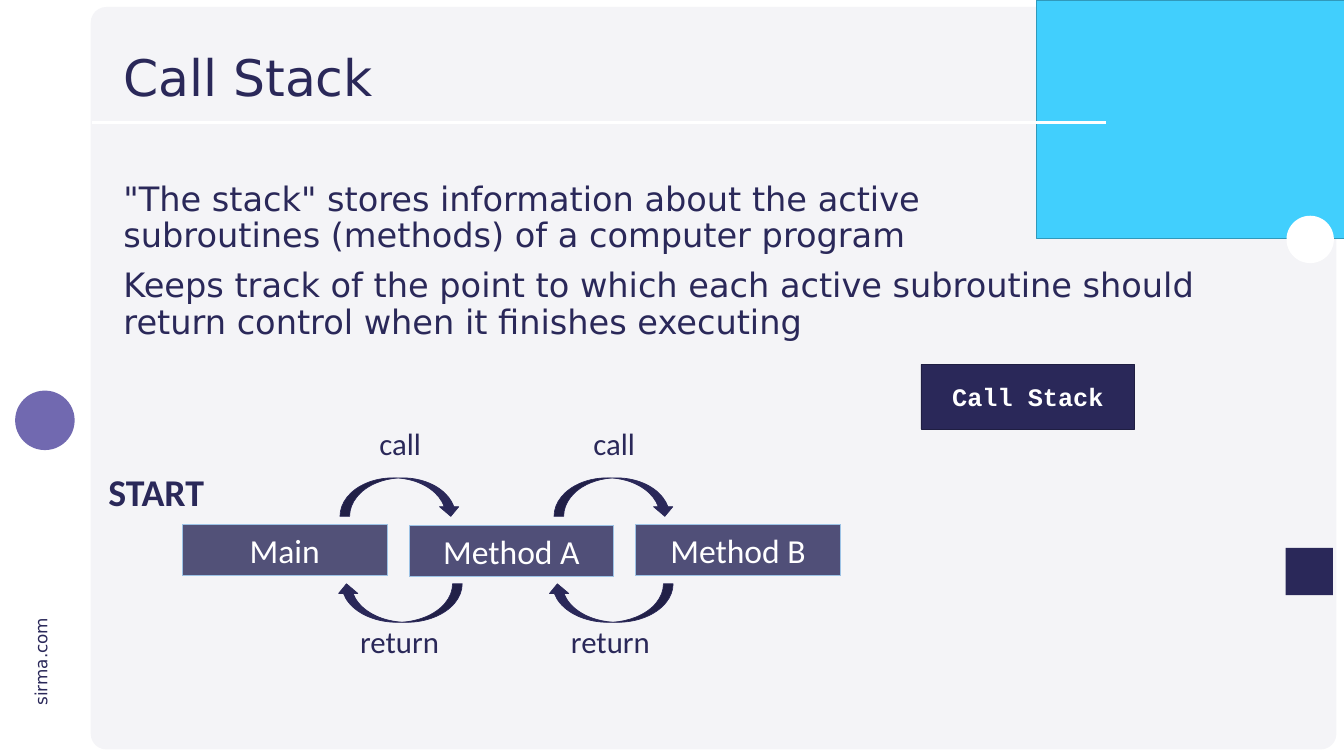
from lxml.etree import SubElement
from pptx import Presentation
from pptx.dml.color import RGBColor
from pptx.enum.shapes import MSO_CONNECTOR, MSO_SHAPE
from pptx.enum.text import MSO_ANCHOR, PP_ALIGN
from pptx.oxml.ns import qn
from pptx.util import Pt

SLIDE_W, SLIDE_H = 1919.52, 1080

NAVY = RGBColor(0x2A, 0x28, 0x59)
NAVY_EDGE = RGBColor(0x1F, 0x1E, 0x42)
PURPLE = RGBColor(0x71, 0x69, 0xB0)
SKY = RGBColor(0x41, 0xCF, 0xFD)
SKY_EDGE = RGBColor(0x30, 0x99, 0xBB)
PALE_BLUE = RGBColor(0xBD, 0xD7, 0xEE)
BOX_EDGE = RGBColor(0x9D, 0xC3, 0xE6)
PANEL = RGBColor(0xF4, 0xF4, 0xF7)
OFF_WHITE = RGBColor(0xF6, 0xF7, 0xF8)
WHITE = RGBColor(0xFF, 0xFF, 0xFF)

SANS, BODY, MONO = "DejaVu Sans", "Calibri", "Courier New"


def add_block(slide, kind, box, fill, line=None, opacity=100):
    block = slide.shapes.add_shape(kind, *map(Pt, box))
    block.shadow.inherit = False
    block.fill.solid()
    block.fill.fore_color.rgb = fill
    if opacity < 100:
        color = block.element.spPr.find(qn("a:solidFill"))[0]
        SubElement(color, qn("a:alpha"), val=str(opacity * 1000))
    if line is None:
        block.line.fill.background()
    else:
        block.line.color.rgb = line
        block.line.width = Pt(1)
    return block


def write(holder, text, size, font=BODY, color=NAVY, bold=False,
          align=PP_ALIGN.CENTER, anchor=MSO_ANCHOR.MIDDLE, wrap=True,
          spacing=None, gap=0, margins=(7.2, 3.6)):
    """Fill a shape's text frame; each line of text is a paragraph, \\v a line break."""
    frame = holder.text_frame
    frame.word_wrap = wrap
    frame.vertical_anchor = anchor
    frame.margin_left = frame.margin_right = Pt(margins[0])
    frame.margin_top = frame.margin_bottom = Pt(margins[1])
    for i, line in enumerate(text.split("\n")):
        paragraph = frame.add_paragraph() if i else frame.paragraphs[0]
        paragraph.text = line
        paragraph.alignment = align
        if spacing:
            paragraph.line_spacing = spacing
        if i and gap:
            paragraph.space_before = Pt(gap)
        for run in paragraph.runs:
            run.font.name = font
            run.font.size = Pt(size)
            run.font.bold = bold
            run.font.color.rgb = color


def add_text(slide, box, text, size, **style):
    label = slide.shapes.add_textbox(*map(Pt, box))
    write(label, text, size, **style)
    return label


def draw_backdrop(slide, box):
    """Panel, corner block, title rule and the small ornaments at the edges."""
    left, top, width, height = box
    right = left + width
    panel = add_block(slide, MSO_SHAPE.ROUNDED_RECTANGLE,
                      (left + 129.6, top + 10, 1779, height - 19.4), PANEL)
    panel.adjustments[0] = 0.021

    address = add_text(slide, (left - 13, top + 926, 142, 36), "sirma.com", 24,
                       font=SANS, align=PP_ALIGN.LEFT, anchor=MSO_ANCHOR.TOP,
                       wrap=False)
    address.rotation = 270

    add_block(slide, MSO_SHAPE.RECTANGLE, (right - 439.52, top, 439.52, 340.5),
              SKY, line=SKY_EDGE)
    rule = slide.shapes.add_connector(
        MSO_CONNECTOR.STRAIGHT, Pt(left + 132), Pt(top + 175),
        Pt(left + 1579), Pt(top + 175))
    rule.line.color.rgb = WHITE
    rule.line.width = Pt(3)
    SubElement(rule.element.spPr, qn("a:effectLst"))

    for kind, x, y, size, fill in (
        (MSO_SHAPE.RECTANGLE, 1836, 782.6, 67.7, NAVY),
        (MSO_SHAPE.OVAL, 21.6, 558, 85, PURPLE),
        (MSO_SHAPE.OVAL, 1837.4, 308.2, 67.7, WHITE),
    ):
        add_block(slide, kind, (left + x, top + y, size, size), fill)


def draw_text(slide, box):
    """Title with the two statements below it."""
    left, top, width, height = box
    add_text(slide, (left, top, 1409, 113.8), "Call Stack", 72, font=SANS,
             align=PP_ALIGN.LEFT, spacing=0.9)
    add_text(slide, (left, top + 199.4, width, height - 199.4),
             '"The stack" stores information about the active'
             "\vsubroutines (methods) of a computer program\n"
             "Keeps track of the point to which each active subroutine should "
             "return control when it finishes executing",
             48, font=SANS, align=PP_ALIGN.LEFT, anchor=MSO_ANCHOR.TOP,
             spacing=0.9, gap=20)


def draw_method(slide, box, name, backing, backing_opacity):
    add_block(slide, MSO_SHAPE.RECTANGLE, box, backing, BOX_EDGE, backing_opacity)
    front = add_block(slide, MSO_SHAPE.RECTANGLE, box, NAVY, BOX_EDGE, 80)
    write(front, name, 48, color=WHITE, margins=(14.4, 7.2))


def draw_jump(slide, box, label, flip):
    """Curved arrow with its label: above for a call, below for a return."""
    left, top, width, height = box
    thickness, label_height = 55, 69
    is_call = flip == "flipV"
    arrow_top = top + height - thickness if is_call else top
    label_top = top if is_call else top + height - label_height

    # The preset is upright, so its frame is centred on the lying arrow.
    arrow = add_block(
        slide, MSO_SHAPE.CURVED_RIGHT_ARROW,
        (left + (width - thickness) / 2, arrow_top + (thickness - width) / 2,
         thickness, width), NAVY, NAVY)
    arrow.rotation = 90
    arrow.element.spPr.xfrm.set(flip, "1")
    add_text(slide, (left, label_top, width, label_height), label, 44)


def draw_call_chain(slide, box):
    left, top, width, height = box
    method_width, method_height, pitch = 292.3, 72.7, 323.7
    methods = (("Main", OFF_WHITE, 100, 0),
               ("Method A", PALE_BLUE, 15, 1.2),
               ("Method B", PALE_BLUE, 15, 0))
    for i, (name, backing, opacity, drop) in enumerate(methods):
        draw_method(slide, (left + 137.5 + i * pitch, top + 151 + drop,
                            method_width, method_height), name, backing, opacity)

    add_text(slide, (left, top + 67.5, 200, 70.6), "START", 54, bold=True)
    for x in (362.5, 668.2):
        draw_jump(slide, (left + x, top, 172, 139.2), "call", "flipV")
    for x in (358, 659.2):
        draw_jump(slide, (left + x, top + 235.5, 179, height - 235.5),
                  "return", "flipH")


def draw_stack_header(slide, box):
    header = add_block(slide, MSO_SHAPE.RECTANGLE, box, NAVY, NAVY_EDGE)
    write(header, "Call Stack", 36, font=MONO, color=WHITE, bold=True)


def main():
    deck = Presentation()
    deck.slide_width, deck.slide_height = Pt(SLIDE_W), Pt(SLIDE_H)
    slide = deck.slides.add_slide(deck.slide_layouts[6])
    draw_backdrop(slide, (0, 0, SLIDE_W, SLIDE_H))
    draw_text(slide, (169.2, 57.6, 1655.3, 449.3))
    draw_stack_header(slide, (1315.4, 520.6, 305.3, 92.2))
    draw_call_chain(slide, (123.1, 598.5, 1077, 352))
    deck.save("out.pptx")


if __name__ == "__main__":
    main()
